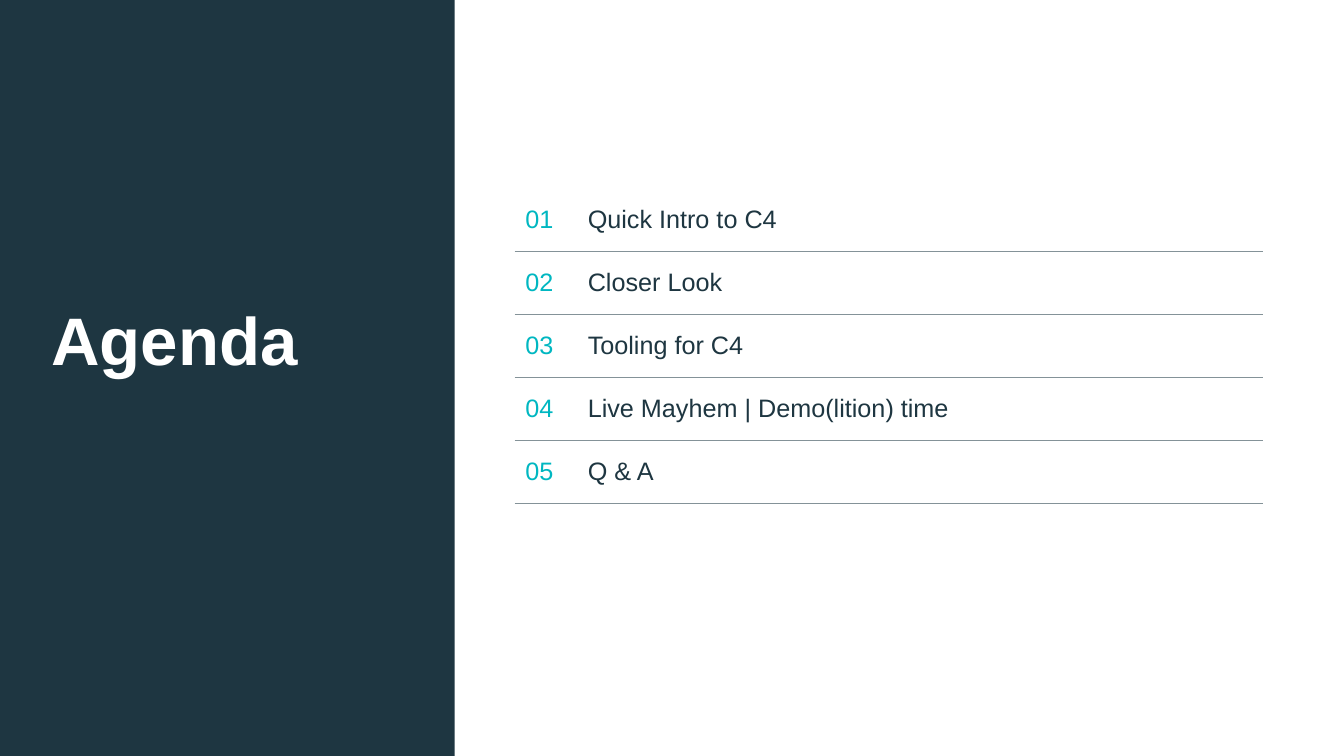
"""Build the agenda slide: a dark title panel beside a ruled, numbered table."""
from lxml import etree
from pptx import Presentation
from pptx.dml.color import RGBColor
from pptx.enum.shapes import MSO_SHAPE
from pptx.enum.text import MSO_ANCHOR, MSO_AUTO_SIZE, PP_ALIGN
from pptx.oxml.ns import qn
from pptx.util import Inches, Pt

RECT = MSO_SHAPE.RECTANGLE
MIDDLE = MSO_ANCHOR.MIDDLE
LEFT = PP_ALIGN.LEFT
NO_FIT = MSO_AUTO_SIZE.NONE
NAVY, TEAL, GREY, WHITE = "1E3641", "00B7C1", "849298", "FFFFFF"
TOPICS = [
    "Quick Intro to C4",
    "Closer Look",
    "Tooling for C4",
    "Live Mayhem | Demo(lition) time",
    "Q & A",
]


def paint(fill, color):
    fill.solid()
    fill.fore_color.rgb = RGBColor.from_string(color)


def write(frame, text, size=18, color=NAVY, bold=False, spacing=1.0):
    para = frame.paragraphs[0]
    para.alignment = LEFT
    para.line_spacing = spacing
    run = para.add_run()
    run.text = text
    run.font.name = "Arial"
    run.font.size = Pt(size)
    run.font.bold = bold
    paint(run.font.fill, color)


deck = Presentation()
deck.slide_width, deck.slide_height = Inches(13.33), Inches(7.5)
slide = deck.slides.add_slide(deck.slide_layouts[5])
shapes = slide.shapes
paint(slide.background.fill, WHITE)

title = shapes.title
panel = shapes.add_shape(RECT, 0, 0, Inches(4.51), deck.slide_height)
panel.shadow.inherit = False
paint(panel.fill, NAVY)
panel.line.fill.background()
title._element.addprevious(panel._element)

title.left, title.top = Inches(0.51), Inches(3.07)
title.width, title.height = Inches(3.2), Inches(0.68)
frame = title.text_frame
frame.margin_left = frame.margin_right = 0
frame.margin_top = frame.margin_bottom = 0
frame.vertical_anchor = MIDDLE
frame.auto_size = NO_FIT
frame.word_wrap = True
write(frame, "Agenda", size=48, color=WHITE, bold=True, spacing=0.9)

count = len(TOPICS)
table = shapes.add_table(
    count + 1, 2, Inches(5.11), Inches(1.87), Inches(7.41), Inches(3.75)
).table
table.first_row = table.horz_banding = False
table.columns[0].width, table.columns[1].width = Inches(0.62), Inches(6.79)

for row in range(count + 1):
    edges = {
        "a:lnL": WHITE,
        "a:lnR": WHITE,
        "a:lnT": GREY if row else WHITE,
        "a:lnB": GREY if row < count else WHITE,
    }
    for col in range(2):
        cell = table.cell(row, col)
        cell.vertical_anchor = MIDDLE
        props = cell._tc.get_or_add_tcPr()
        for tag, color in edges.items():
            width = Pt(0.5) if color == GREY else Pt(1)
            line = etree.SubElement(props, qn(tag), w=str(width))
            solid = etree.SubElement(line, qn("a:solidFill"))
            etree.SubElement(solid, qn("a:srgbClr"), val=color)
        paint(cell.fill, WHITE)

for row, topic in enumerate(TOPICS):
    write(table.cell(row, 0).text_frame, f"{row + 1:02}", color=TEAL)
    write(table.cell(row, 1).text_frame, topic)

deck.save("out.pptx")
